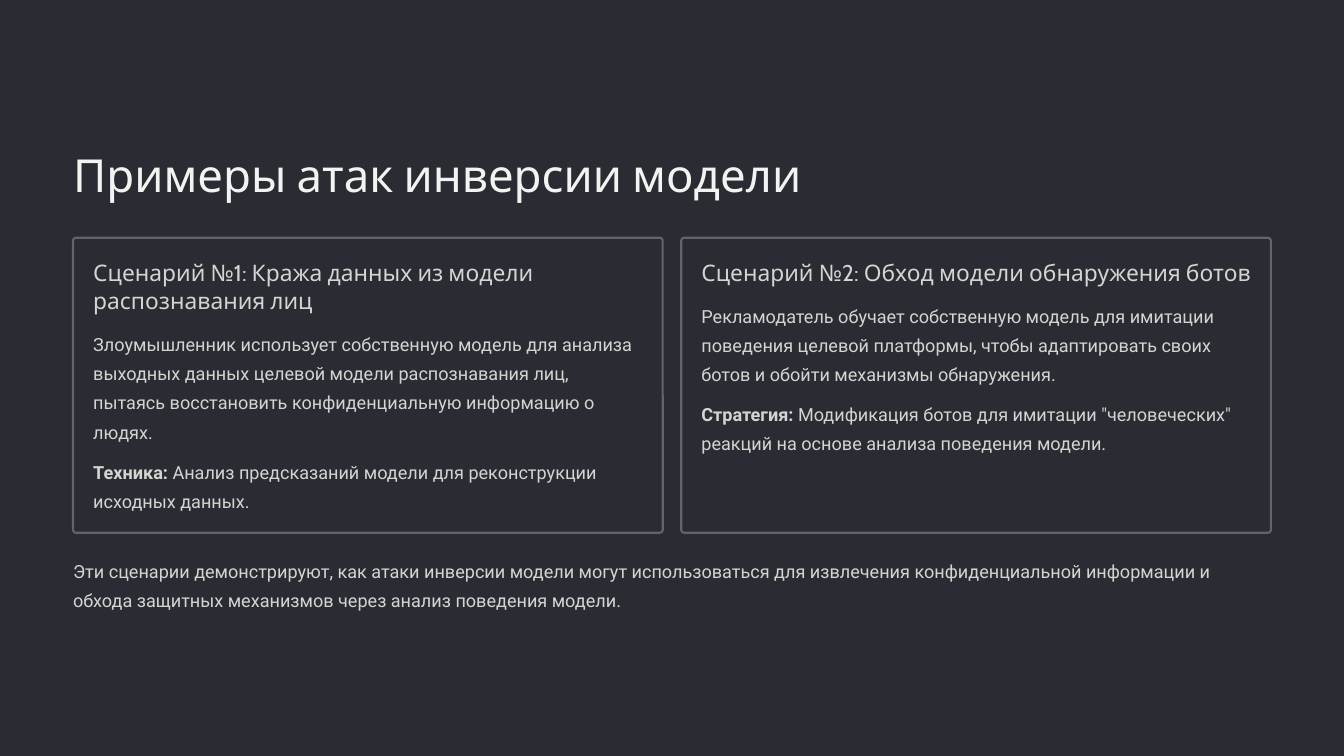
"""Builds the slide on model inversion attack examples."""
from dataclasses import dataclass

from pptx import Presentation
from pptx import util as u
from pptx.dml.color import RGBColor
from pptx.enum import shapes, text
from pptx.slide import Slide

COLORS = {"ground": "292C32", "border": "61646A", "title": "F3F3F2", "body": "D4D4D1"}
LEFT, CONTENT_WIDTH, CARD_TOP = 2.21, 36.22, 7.19
CARD_WIDTH, CARD_HEIGHT, CARD_PITCH = 17.83, 8.92, 18.39
PADDING, HEADING_WIDTH, BODY_WIDTH = 0.61, 17.1, 16.61
HEADING_TOP, HEADING_LINE, HEADING_GAP = 7.8, 0.86, 0.34
BODY_LINE, BODY_GAP = 0.88, 0.34


@dataclass
class Scenario:
    heading: str
    heading_lines: int
    story: str
    story_lines: int
    label: str
    method: str


SCENARIOS = [
    Scenario(
        "Сценарий №1: Кража данных из модели распознавания лиц", 2,
        "Злоумышленник использует собственную модель для анализа выходных данных "
        "целевой модели распознавания лиц, пытаясь восстановить конфиденциальную "
        "информацию о людях.", 4,
        "Техника:", " Анализ предсказаний модели для реконструкции исходных данных.",
    ),
    Scenario(
        "Сценарий №2: Обход модели обнаружения ботов", 1,
        "Рекламодатель обучает собственную модель для имитации поведения целевой "
        "платформы, чтобы адаптировать своих ботов и обойти механизмы обнаружения.", 3,
        "Стратегия:", ' Модификация ботов для имитации "человеческих" реакций '
        "на основе анализа поведения модели.",
    ),
]


def color(name: str) -> RGBColor:
    return RGBColor.from_string(COLORS[name])


def add_text(slide: Slide, content: str, left: float, top: float, width: float,
             height: float, *, label: str = "", font: str = "Roboto", size: float = 15.5,
             spacing: float = 25, tint: str = "body") -> None:
    box = slide.shapes.add_textbox(u.Cm(left), u.Cm(top), u.Cm(width), u.Cm(height))
    frame = box.text_frame
    frame.word_wrap = True
    frame.vertical_anchor = text.MSO_ANCHOR.TOP
    frame.margin_left = frame.margin_right = frame.margin_top = frame.margin_bottom = 0
    paragraph = frame.paragraphs[0]
    paragraph.line_spacing = u.Pt(spacing)
    for words, bold in ((label, True), (content, False)):
        if words:
            run = paragraph.add_run()
            run.text = words
            run.font.name, run.font.size, run.font.bold = font, u.Pt(size), bold
            run.font.color.rgb = color(tint)


def add_scenario(slide: Slide, scenario: Scenario, left: float) -> None:
    card = slide.shapes.add_shape(
        shapes.MSO_SHAPE.ROUNDED_RECTANGLE,
        u.Cm(left), u.Cm(CARD_TOP), u.Cm(CARD_WIDTH), u.Cm(CARD_HEIGHT))
    card.adjustments[0] = 0.01
    card.shadow.inherit = False
    card.fill.solid()
    card.fill.fore_color.rgb = color("ground")
    card.line.color.rgb = color("border")
    card.line.width = u.Pt(1.8)

    inner_left = left + PADDING
    heading_height = HEADING_LINE * scenario.heading_lines
    story_top = HEADING_TOP + heading_height + HEADING_GAP
    story_height = BODY_LINE * scenario.story_lines
    method_top = story_top + story_height + BODY_GAP
    add_text(slide, scenario.heading, inner_left, HEADING_TOP, HEADING_WIDTH, heading_height,
             font="Cabin", size=19.5, spacing=24)
    add_text(slide, scenario.story, inner_left, story_top, BODY_WIDTH, story_height)
    add_text(slide, scenario.method, inner_left, method_top, BODY_WIDTH, 2 * BODY_LINE,
             label=scenario.label)


def main() -> None:
    deck = Presentation()
    deck.slide_width, deck.slide_height = u.Cm(40.64), u.Cm(22.86)
    slide = deck.slides.add_slide(deck.slide_layouts[6])
    slide.background.fill.solid()
    slide.background.fill.fore_color.rgb = color("ground")

    add_text(slide, "Примеры атак инверсии модели", LEFT, 4.39, 24, 1.73,
             font="Cabin", size=39, spacing=48.5, tint="title")
    for column, scenario in enumerate(SCENARIOS):
        add_scenario(slide, scenario, LEFT + column * CARD_PITCH)
    add_text(slide, "Эти сценарии демонстрируют, как атаки инверсии модели могут "
             "использоваться для извлечения конфиденциальной информации и обхода "
             "защитных механизмов через анализ поведения модели.",
             LEFT, 16.71, CONTENT_WIDTH, 2 * BODY_LINE)
    deck.save("out.pptx")


if __name__ == "__main__":
    main()
